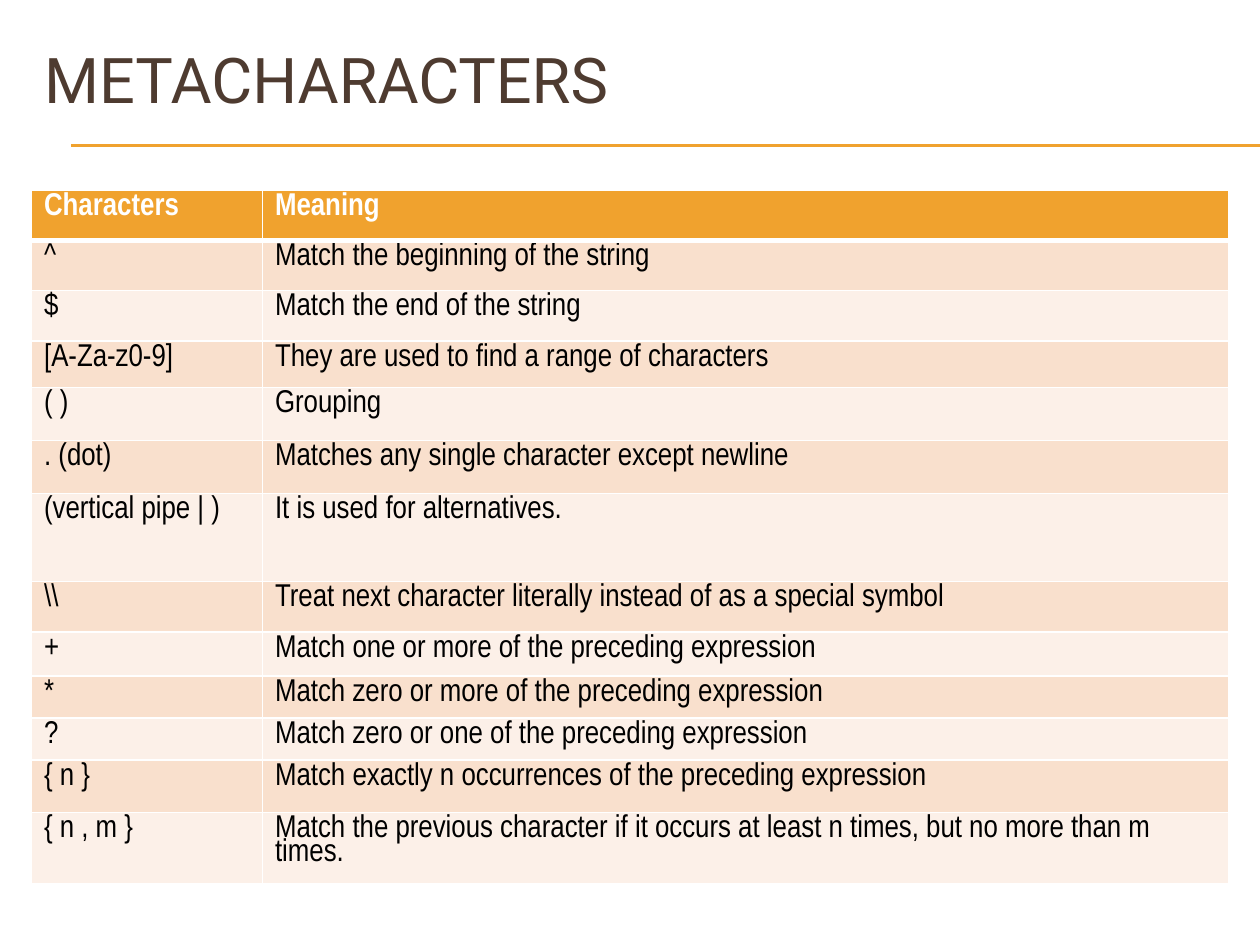
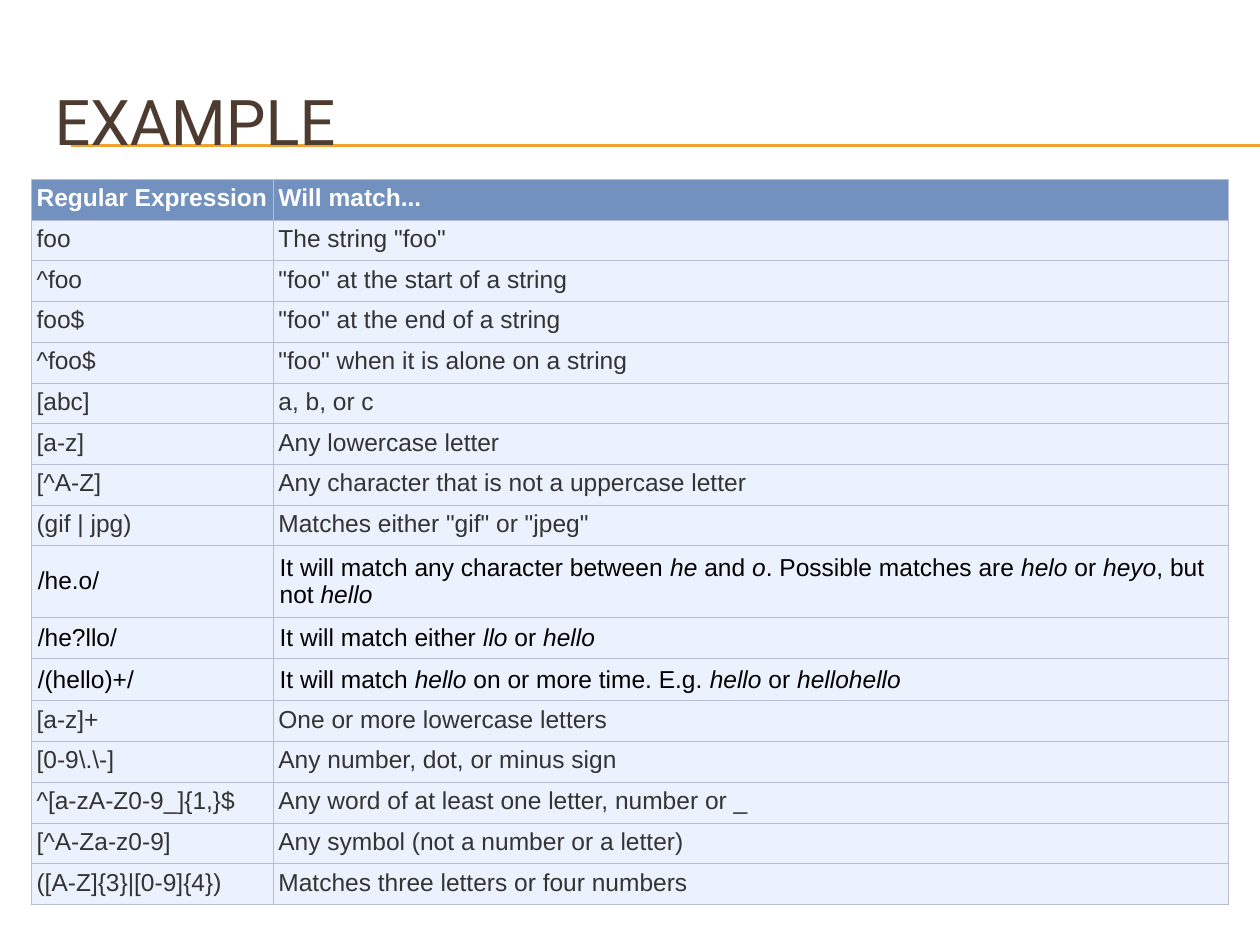
from pptx import Presentation
from pptx.dml.color import RGBColor
from pptx.enum.shapes import MSO_CONNECTOR
from pptx.enum.text import MSO_ANCHOR, PP_ALIGN
from pptx.oxml.ns import qn
from pptx.util import Pt
from lxml.etree import SubElement, Element

HEX = {
    "title": "4E3B30", "rule": "F0A22E", "white": "FFFFFF", "black": "000000",
    "peach": "F9E0CD", "cream": "FCF0E8", "blue": "7391BE", "ice": "EBF2FD",
    "edge": "B7BCDB", "grey": "333333",
}

META = [
    ("Characters", "Meaning"),
    ("^", "Match the beginning of the string"),
    ("$", "Match the end of the string"),
    ("[A-Za-z0-9]", "They are used to find a range of characters"),
    ("( )", "Grouping"),
    (". (dot)", "Matches any single character except newline"),
    ("(vertical pipe | )", "It is used for alternatives."),
    (r"\\", "Treat next character literally instead of as a special symbol"),
    ("+", "Match one or more of the preceding expression"),
    ("*", "Match zero or more of the preceding expression"),
    ("?", "Match zero or one of the preceding expression"),
    ("{ n }", "Match exactly n occurrences of the preceding expression"),
    ("{ n , m }", "Match the previous character if it occurs at least n times, "
                  "but no more than m times."),
]

# A tuple as meaning holds runs that are upright and italic in turn.
REGEX = [
    ("Regular Expression", "Will match..."),
    ("foo", 'The string "foo"'),
    ("^foo", '"foo" at the start of a string'),
    ("foo$", '"foo" at the end of a string'),
    ("^foo$", '"foo" when it is alone on a string'),
    ("[abc]", "a, b, or c"),
    ("[a-z]", "Any lowercase letter"),
    ("[^A-Z]", "Any character that is not a uppercase letter"),
    ("(gif | jpg)", 'Matches either "gif" or "jpeg"'),
    ("/he.o/", ("It will match any character between ", "he", " and ", "o",
                ". Possible matches are ", "helo", " or ", "heyo",
                ", but not ", "hello")),
    ("/he?llo/", ("It will match either ", "llo", " or ", "hello")),
    ("/(hello)+/", ("It will match ", "hello", " on or more time. E.g. ",
                    "hello", " or ", "hellohello")),
    ("[a-z]+", "One or more lowercase letters"),
    (r"[0-9\.\-]", "Any number, dot, or minus sign"),
    ("^[a-zA-Z0-9_]{1,}$", "Any word of at least one letter, number or _"),
    ("[^A-Za-z0-9]", "Any symbol (not a number or a letter)"),
    ("([A-Z]{3}|[0-9]{4})", "Matches three letters or four numbers"),
]

SLIDES = [
    {"title": "METACHARACTERS", "at": (18, 12), "rows": META, "top": 108.5,
     "cols": (132, 552), "font": "Arial Narrow", "size": 18, "space": 0.8,
     "high": (28.8, 28.8, 28.8, 26.6, 30.2, 30.2, 50.4, 28.8, 25.2, 24, 24,
              30.2, 40.6),
     "pad": (7.2, 3.6), "head": "rule", "bands": ("peach", "cream"),
     "ink": "black", "edge": "white", "line": 1, "under": 3},
    {"title": "EXAMPLE", "at": (24, 36), "rows": REGEX, "top": 102.5,
     "cols": (138.2, 545.8), "font": "Arial", "size": 14, "space": 1,
     "high": [23.3] * 9 + [40.6, 24, 24] + [23.3] * 5,
     "pad": (2.9, 2.9), "head": "blue", "bands": ("ice", "ice"),
     "ink": "grey", "edge": "edge", "line": 0.6, "under": 0.6},
]
WIDE, TALL = 720, 540
LEFT = 18
RULES = (82.8, 83.5)


def rgb(name):
    return RGBColor.from_string(HEX[name])


def style(run, font, size, ink):
    run.font.name, run.font.size = font, Pt(size)
    run.font.color.rgb = rgb(ink)


def draw_rules(slide):
    """Put the two thin lines behind everything else."""
    for i, y in enumerate(RULES):
        line = slide.shapes.add_connector(
            MSO_CONNECTOR.STRAIGHT, Pt(40.5), Pt(y), Pt(WIDE), Pt(y))
        line.line.color.rgb, line.line.width = rgb("rule"), Pt(0.75)
        SubElement(line._element.spPr, qn("a:effectLst"))
        slide.shapes._spTree.insert(2 + i, line._element)


def draw_title(slide, text, at):
    box = slide.shapes.title
    box.left, box.top = map(Pt, at)
    box.width, box.height = Pt(684), Pt(66)
    frame = box.text_frame
    frame.vertical_anchor = MSO_ANCHOR.MIDDLE
    para = frame.paragraphs[0]
    para.alignment = PP_ALIGN.LEFT
    run = para.add_run()
    run.text = text
    style(run, "Roboto", 36, "title")


def set_edges(cell, ink, sizes):
    """Line the cell; sizes run left, right, top, bottom."""
    props = cell._tc.get_or_add_tcPr()
    for i, (side, size) in enumerate(zip("LRTB", sizes)):
        line = Element(qn("a:ln" + side), w=str(Pt(size)))
        fill = SubElement(line, qn("a:solidFill"))
        SubElement(fill, qn("a:srgbClr"), val=HEX[ink])
        props.insert(i, line)


def fill_cell(cell, text, row, rich, look):
    cell.fill.solid()
    head = row == 0
    cell.fill.fore_color.rgb = rgb(
        look["head"] if head else look["bands"][(row - 1) % 2])
    line, under = look["line"], look["under"]
    set_edges(cell, look["edge"], (line, line, under if row == 1 else line,
                                   under if head else line))
    side, end = (3.6, 3.6) if rich else look["pad"]
    cell.margin_left = cell.margin_right = Pt(side)
    cell.margin_top = cell.margin_bottom = Pt(end)
    cell.vertical_anchor = MSO_ANCHOR.MIDDLE if rich else MSO_ANCHOR.TOP
    ink = "white" if head else "black" if rich else look["ink"]
    para = cell.text_frame.paragraphs[0]
    para.line_spacing = look["space"]
    for i, part in enumerate((text,) if isinstance(text, str) else text):
        run = para.add_run()
        run.text = part
        style(run, look["font"], look["size"], ink)
        run.font.bold, run.font.italic = head, i % 2 == 1


def draw_table(slide, look):
    rows, cols, high = look["rows"], look["cols"], look["high"]
    table = slide.shapes.add_table(
        len(rows), len(cols), Pt(LEFT), Pt(look["top"]),
        Pt(sum(cols)), Pt(sum(high))).table
    table.horz_banding = False
    for col, wide in zip(table.columns, cols):
        col.width = Pt(wide)
    for r, pair in enumerate(rows):
        table.rows[r].height = Pt(high[r])
        rich = isinstance(pair[1], tuple)
        for c, text in enumerate(pair):
            fill_cell(table.cell(r, c), text, r, rich, look)


def main():
    deck = Presentation()
    deck.slide_width, deck.slide_height = Pt(WIDE), Pt(TALL)
    for look in SLIDES:
        slide = deck.slides.add_slide(deck.slide_layouts[5])
        draw_rules(slide)
        draw_title(slide, look["title"], look["at"])
        draw_table(slide, look)
    deck.save("out.pptx")


if __name__ == "__main__":
    main()
